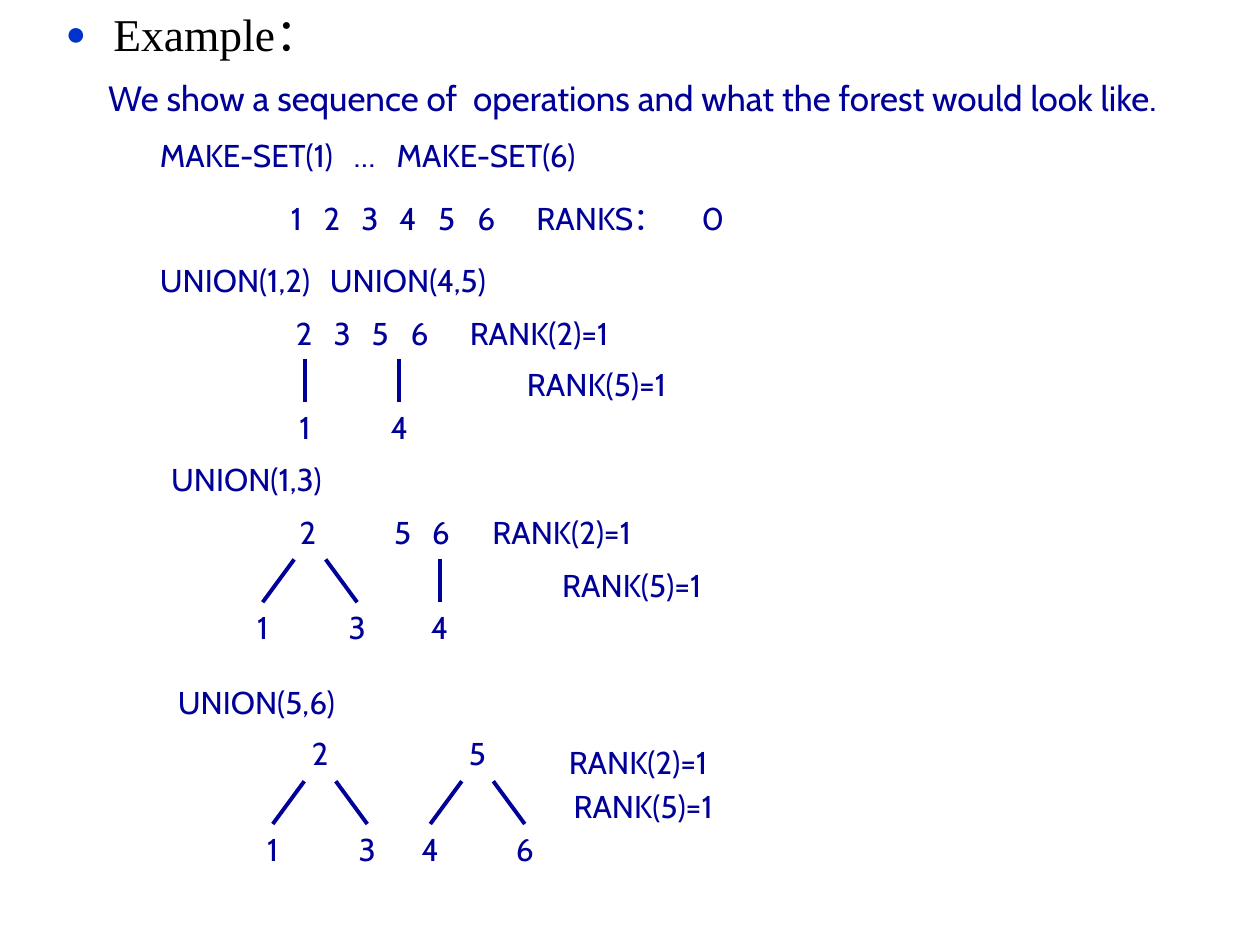
from lxml.etree import SubElement
from pptx import Presentation
from pptx.dml.color import RGBColor
from pptx.enum.shapes import MSO_CONNECTOR as Connector
from pptx.enum.text import MSO_AUTO_SIZE as AutoSize, PP_ALIGN as Align
from pptx.oxml.ns import qn
from pptx.util import Inches, Pt

COLORS = {"ink": "000099", "heading": "000000", "bullet": "0033CC", "page": "FFFFFF"}
ROW_HEIGHT = 0.4
DIGIT_WIDTH = 0.34
RANK_WIDTH = 1.47
UNION_WIDTH = 1.51
BRANCH_HEIGHT = 0.34
FORK_TOP = 0.125
FORK_BOTTOM = 0.375


def color(name):
    return RGBColor.from_string(COLORS[name])


def style(para, size, font="Cabin", ink="ink"):
    para.font.size = Pt(size)
    para.font.name = font
    para.font.color.rgb = color(ink)


def add_heading(page, text):
    body = page.placeholders[1]
    body.left, body.top = Inches(0.42), Inches(0)
    body.width, body.height = Inches(9.39), Inches(6.98)
    frame = body.text_frame
    frame.auto_size = AutoSize.NONE
    frame.text = text
    para = frame.paragraphs[0]
    style(para, 26, "Times New Roman", "heading")
    para.space_before = Pt(5)
    props = para._p.get_or_add_pPr()
    props.set("marL", str(Inches(0.38)))
    props.set("indent", str(Inches(-0.38)))
    tint = SubElement(props, qn("a:buClr"))
    SubElement(tint, qn("a:srgbClr"), val=COLORS["bullet"])
    SubElement(props, qn("a:buSzPct"), val="75000")
    SubElement(props, qn("a:buFont"), typeface="Times New Roman")
    SubElement(props, qn("a:buChar"), char="●")
    props.append(props.find(qn("a:defRPr")))


def add_text(page, text, left, top, width, height=ROW_HEIGHT, size=18, align=Align.LEFT, wrap=True):
    box = page.shapes.add_textbox(Inches(left), Inches(top), Inches(width), Inches(height))
    frame = box.text_frame
    frame.word_wrap = wrap
    frame.text = text
    para = frame.paragraphs[0]
    para.alignment = align
    style(para, size)
    return para


def add_label(page, text, left, top, width):
    add_text(page, text, left, top, width, align=Align.CENTER, wrap=False)


def add_row(page, items, stops, left, top, width):
    para = add_text(page, "\t".join(items), left, top, width)
    props = para._p.get_or_add_pPr()
    tabs = SubElement(props, qn("a:tabLst"))
    for stop in stops:
        SubElement(tabs, qn("a:tab"), pos=str(Inches(stop)), algn="l")
    props.append(props.find(qn("a:defRPr")))


def add_digit(page, text, center, top):
    add_label(page, text, center - DIGIT_WIDTH / 2, top, DIGIT_WIDTH)


def add_branch(page, child, start, end, top):
    bottom = top + BRANCH_HEIGHT
    line = page.shapes.add_connector(
        Connector.STRAIGHT, Inches(start), Inches(top), Inches(end), Inches(bottom))
    line.line.color.rgb = color("ink")
    line.line.width = Pt(2.25)
    SubElement(line._element.spPr, qn("a:effectLst"))
    add_digit(page, child, end, bottom)


def add_fork(page, children, center, top):
    for child, side in zip(children, (-1, 1)):
        add_branch(page, child, center + side * FORK_TOP, center + side * FORK_BOTTOM, top)


def main():
    deck = Presentation()
    deck.slide_width, deck.slide_height = Inches(10), Inches(7.5)
    page = deck.slides.add_slide(deck.slide_layouts[1])
    page.background.fill.solid()
    page.background.fill.fore_color.rgb = color("page")
    title = page.shapes.title._element
    title.getparent().remove(title)

    add_heading(page, "Example：")
    add_text(page, "We show a sequence of  operations and what the forest would look like.",
             0.76, 0.56, 9.28, 0.44, size=20, align=Align.JUSTIFY)

    add_row(page, ["MAKE-SET(1)", "…", "MAKE-SET(6)"], [1.54, 1.88], 1.17, 1.03, 3.82)
    add_row(page, [*"123456", "RANKS：", "0"],
            [0.26, 0.56, 0.86, 1.17, 1.48, 1.95, 3.26], 2.21, 1.53, 4.04)

    add_row(page, ["UNION(1,2)", "UNION(4,5)"], [1.35], 1.17, 2.02, 3.05)
    add_row(page, [*"2356", "RANK(2)=1"], [0.3, 0.6, 0.91, 1.38], 2.25, 2.44, 3.19)
    for child, center in (("1", 2.42), ("4", 3.17)):
        add_branch(page, child, center, center, 2.85)
    add_label(page, "RANK(5)=1", 4, 2.85, RANK_WIDTH)

    add_label(page, "UNION(1,3)", 1.2, 3.6, UNION_WIDTH)
    add_row(page, [*"256", "RANK(2)=1"], [0.75, 1.05, 1.53], 2.28, 4.02, 3.44)
    add_fork(page, "13", 2.46, 4.44)
    add_branch(page, "4", 3.49, 3.49, 4.44)
    add_label(page, "RANK(5)=1", 4.28, 4.44, RANK_WIDTH)

    add_label(page, "UNION(5,6)", 1.28, 5.37, UNION_WIDTH)
    for root, children, center in (("2", "13", 2.54), ("5", "46", 3.79)):
        add_digit(page, root, center, 5.78)
        add_fork(page, children, center, 6.2)
    add_label(page, "RANK(2)=1", 4.33, 5.85, RANK_WIDTH)
    add_label(page, "RANK(5)=1", 4.37, 6.2, RANK_WIDTH)

    deck.save("out.pptx")


if __name__ == "__main__":
    main()
